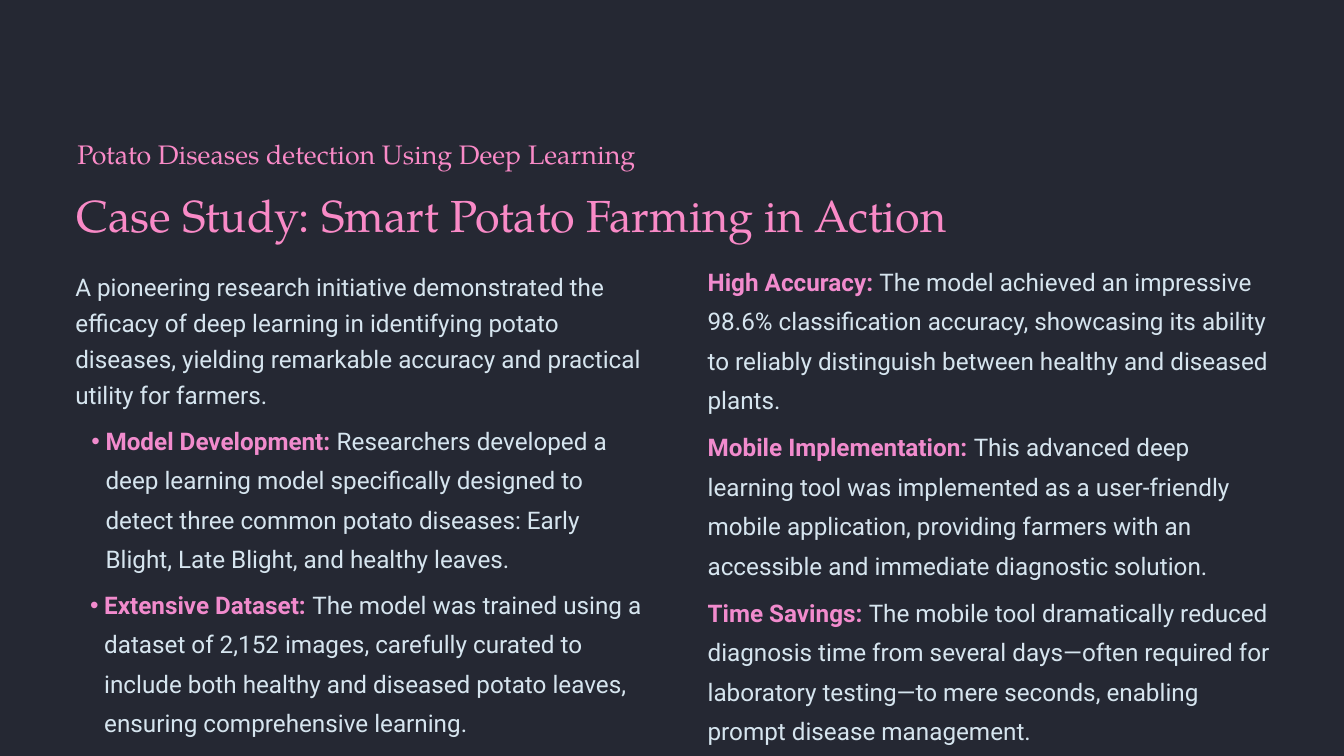
import pptx
import pptx.dml.color
import pptx.enum.text
import pptx.oxml
import pptx.oxml.ns
import pptx.util
from pptx.util import Inches

SERIF, SANS = "TeX Gyre Pagella", "Roboto"
BACKGROUND, HEADING, LABEL, BODY = "252833", "F98AC7", "F18BCD", "D6E5EF"
SLIDE_WIDTH, SLIDE_HEIGHT = 20, 11.25
COLUMN_WIDTH = 8.51

FINDINGS = [
    ("Model Development:", "Researchers developed a deep learning model specifically designed to "
     "detect three common potato diseases: Early Blight, Late Blight, and healthy leaves."),
    ("Extensive Dataset:", "The model was trained using a dataset of 2,152 images, carefully curated "
     "to include both healthy and diseased potato leaves, ensuring comprehensive learning."),
]
RESULTS = [
    ("High Accuracy:", "The model achieved an impressive 98.6% classification accuracy, showcasing "
     "its ability to reliably distinguish between healthy and diseased plants."),
    ("Mobile Implementation:", "This advanced deep learning tool was implemented as a user-friendly "
     "mobile application, providing farmers with an accessible and immediate diagnostic solution."),
    ("Time Savings:", "The mobile tool dramatically reduced diagnosis time from several days—often "
     "required for laboratory testing—to mere seconds, enabling prompt disease management."),
]


def color(hex_value):
    return pptx.dml.color.RGBColor.from_string(hex_value)


def set_attributes(target, values):
    for name, value in values.items():
        setattr(target, name, value)


def prepare_box(shape, box):
    """Place a text shape and strip its insets and autofit."""
    left, top, width, height = (Inches(value) for value in box)
    set_attributes(shape, dict(left=left, top=top, width=width, height=height))
    set_attributes(shape.text_frame, dict(
        margin_left=0, margin_top=0, margin_right=0, margin_bottom=0, word_wrap=True,
        auto_size=pptx.enum.text.MSO_AUTO_SIZE.NONE,
        vertical_anchor=pptx.enum.text.MSO_ANCHOR.TOP))
    return shape.text_frame


def format_paragraph(paragraph, line_points, gap_points=0):
    set_attributes(paragraph, dict(
        alignment=pptx.enum.text.PP_ALIGN.LEFT, line_spacing=pptx.util.Pt(line_points),
        space_before=pptx.util.Pt(gap_points), space_after=pptx.util.Pt(0)))


def add_run(paragraph, text, font_name, size, hex_value, bold=False):
    run = paragraph.add_run()
    run.text = text
    set_attributes(run.font, dict(name=font_name, size=pptx.util.Pt(size), bold=bold))
    run.font.color.rgb = color(hex_value)


def fill_line(shape, box, text, font_name, size, hex_value, line_points):
    paragraph = prepare_box(shape, box).paragraphs[0]
    format_paragraph(paragraph, line_points)
    add_run(paragraph, text, font_name, size, hex_value)


def set_bullet(paragraph, indent=None):
    """Hang a bullet at the indent, or remove the bullet when there is none."""
    properties = paragraph._p.get_or_add_pPr()
    properties.set("marL", str(Inches(indent or 0)))
    properties.set("indent", str(Inches(-0.21 if indent else 0)))
    tag = '<a:buChar %s char="•"/>' if indent else "<a:buNone %s/>"
    properties.append(pptx.oxml.parse_xml(tag % pptx.oxml.ns.nsdecls("a")))


def fill_list(shape, box, items, gap_points, indents):
    frame = prepare_box(shape, box)
    for index, ((label, text), indent) in enumerate(zip(items, indents)):
        paragraph = frame.add_paragraph() if index else frame.paragraphs[0]
        format_paragraph(paragraph, 42.2, gap_points if index else 0)
        set_bullet(paragraph, indent)
        add_run(paragraph, label + " ", SANS, 26, LABEL, bold=True)
        add_run(paragraph, text, SANS, 26, BODY)


def add_backdrop(slide, width, height):
    """Cover the slide with one panel behind the placeholders."""
    builder = slide.shapes.build_freeform(0, 0)
    corners = [(width, 0), (width, height), (0, height)]
    builder.add_line_segments([(Inches(x), Inches(y)) for x, y in corners], close=True)
    panel = builder.convert_to_shape()
    panel.shadow.inherit = False
    panel.fill.solid()
    panel.fill.fore_color.rgb = color(BACKGROUND)
    panel.line.fill.background()
    slide.shapes.title._element.addprevious(panel._element)


def fill_header(slide, left, top):
    kicker = slide.shapes.add_textbox(0, 0, 0, 0)
    fill_line(kicker, (left, top, 12, 0.51), "Potato Diseases detection Using Deep Learning",
              SERIF, 28.7, HEADING, 36.3)
    fill_line(slide.shapes.title, (left - 0.01, top + 0.72, 13.64, 0.86),
              "Case Study: Smart Potato Farming in Action", SERIF, 48.1, HEADING, 60.6)


def fill_left_column(slide, left, top):
    intro = slide.shapes.add_textbox(0, 0, 0, 0)
    fill_line(intro, (left, top, COLUMN_WIDTH, 2.1),
              "A pioneering research initiative demonstrated the efficacy of deep learning in "
              "identifying potato diseases, yielding remarkable accuracy and practical utility "
              "for farmers.", SANS, 26, BODY, 38.5)
    fill_list(slide.placeholders[1], (left + 0.02, top + 2.24, COLUMN_WIDTH, 4.73),
              FINDINGS, 6.9, (0.43, 0.41))


def fill_right_column(slide, left, top):
    fill_list(slide.placeholders[2], (left, top, COLUMN_WIDTH, 7.21),
              RESULTS, 8.6, (None,) * len(RESULTS))


def main():
    presentation = pptx.Presentation()
    presentation.slide_width = Inches(SLIDE_WIDTH)
    presentation.slide_height = Inches(SLIDE_HEIGHT)
    slide = presentation.slides.add_slide(presentation.slide_layouts.get_by_name("Two Content"))
    add_backdrop(slide, SLIDE_WIDTH, SLIDE_HEIGHT)
    fill_header(slide, 1.15, 2.03)
    fill_left_column(slide, 1.12, 3.95)
    fill_right_column(slide, 10.53, 3.82)
    presentation.save("out.pptx")


if __name__ == "__main__":
    main()
